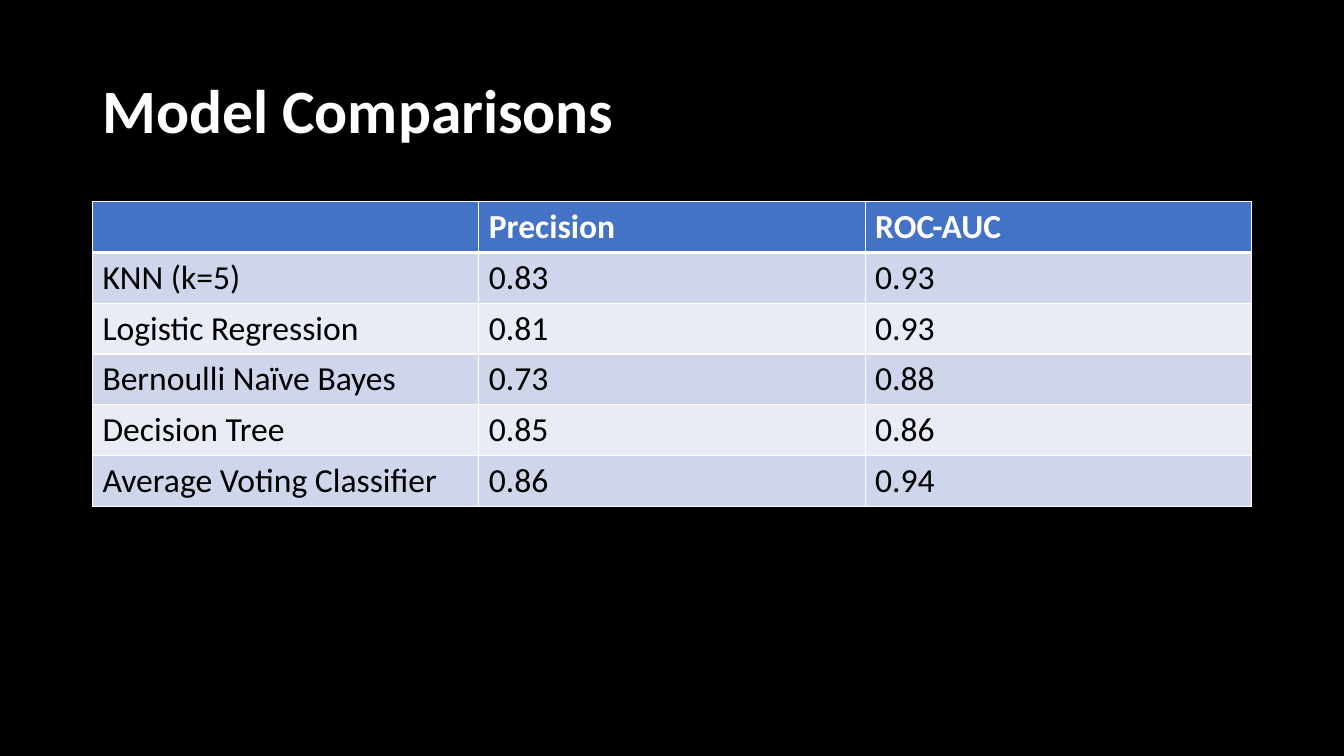
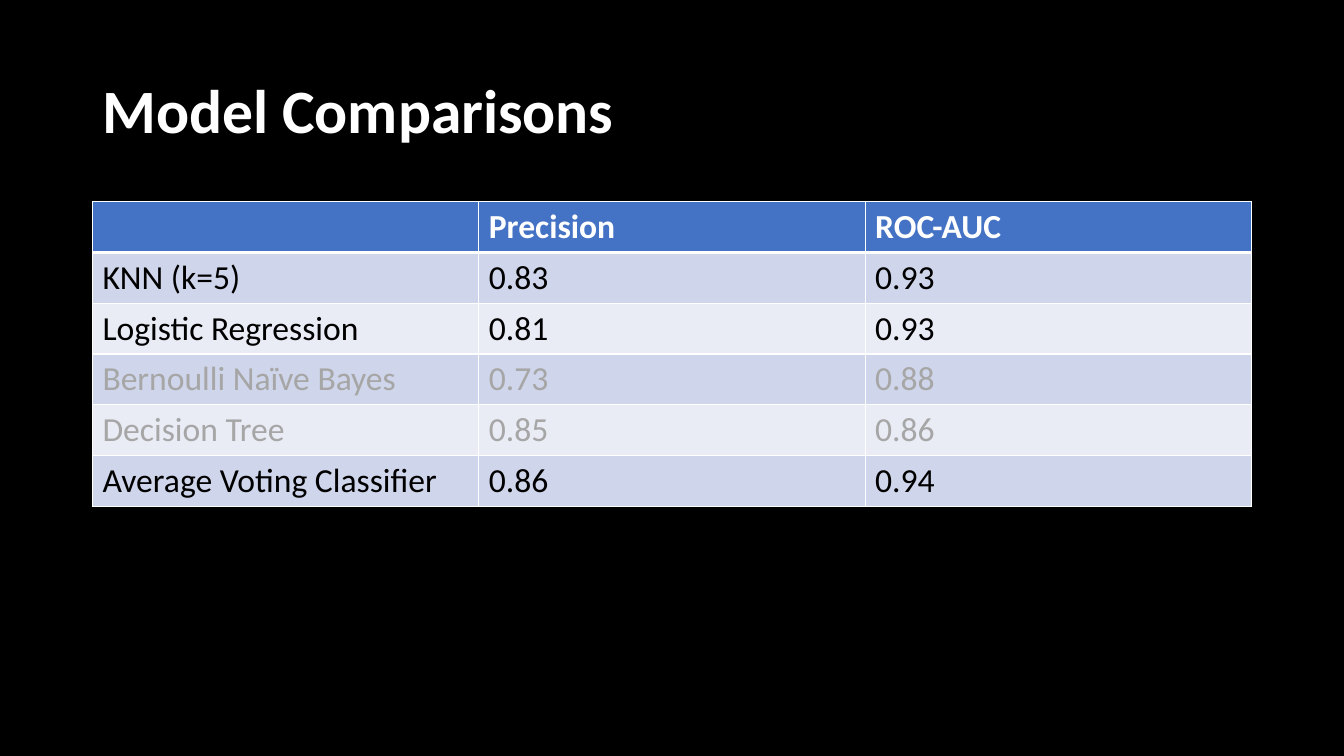
from lxml import etree
from pptx import Presentation
from pptx.dml.color import RGBColor
from pptx.enum import text
from pptx.oxml.ns import qn
from pptx.util import Cm, Pt

# Content
TITLE = "Model Comparisons"
HEADER = ("", "Precision", "ROC-AUC")
SCORES = [
    ("KNN (k=5)", "0.83", "0.93"),
    ("Logistic Regression", "0.81", "0.93"),
    ("Bernoulli Naïve Bayes", "0.73", "0.88"),
    ("Decision Tree", "0.85", "0.86"),
    ("Average Voting Classifier", "0.86", "0.94"),
]
# Models greyed out on each slide
FADED_MODELS = [(), ("Bernoulli Naïve Bayes", "Decision Tree")]

# Shared style
FONT = "Calibri"
BLACK = RGBColor(0x00, 0x00, 0x00)
WHITE = RGBColor(0xFF, 0xFF, 0xFF)
BLUE = RGBColor(0x44, 0x72, 0xC4)
BANDS = (RGBColor(0xCF, 0xD5, 0xEA), RGBColor(0xE9, 0xEB, 0xF5))
GREY = RGBColor(0xA6, 0xA6, 0xA6)

LEFT, WIDTH = Cm(2.33), Cm(29.21)
TITLE_TOP, TITLE_HEIGHT = Cm(1.01), Cm(3.68)
TABLE_TOP, ROW_HEIGHT = Cm(5.08), Cm(1.28)
THIN, THICK = Pt(1), Pt(3)


def style_run(run, size, color, bold):
    run.font.name = FONT
    run.font.size = Pt(size)
    run.font.color.rgb = color
    run.font.bold = bold


def add_title(slide):
    title = slide.shapes.add_textbox(LEFT, TITLE_TOP, WIDTH, TITLE_HEIGHT)
    frame = title.text_frame
    frame.word_wrap = True
    frame.vertical_anchor = text.MSO_ANCHOR.MIDDLE
    frame.text = TITLE
    frame.paragraphs[0].line_spacing = 0.9
    style_run(frame.paragraphs[0].runs[0], 44, WHITE, True)


def set_borders(cell, top, bottom):
    properties = cell._tc.get_or_add_tcPr()
    for side, weight in (("L", THIN), ("R", THIN), ("T", top), ("B", bottom)):
        line = etree.SubElement(properties, qn(f"a:ln{side}"), w=str(weight))
        fill = etree.SubElement(line, qn("a:solidFill"))
        etree.SubElement(fill, qn("a:srgbClr"), val=str(WHITE))


def style_cell(cell, wording, fill, color, bold, top, bottom):
    set_borders(cell, top, bottom)
    cell.fill.solid()
    cell.fill.fore_color.rgb = fill
    cell.text_frame.text = wording
    for run in cell.text_frame.paragraphs[0].runs:
        style_run(run, 24, color, bold)


def add_scores(slide, faded):
    rows = [HEADER] + SCORES
    table = slide.shapes.add_table(
        len(rows), len(HEADER), LEFT, TABLE_TOP, WIDTH, ROW_HEIGHT * len(rows)
    ).table
    for r, row in enumerate(rows):
        is_header = r == 0
        fill = BLUE if is_header else BANDS[(r - 1) % 2]
        color = WHITE if is_header else GREY if row[0] in faded else BLACK
        # The heavy rule lies between the header and the first model
        top = THICK if r == 1 else THIN
        bottom = THICK if is_header else THIN
        for c, wording in enumerate(row):
            style_cell(table.cell(r, c), wording, fill, color, is_header, top, bottom)


def main():
    prs = Presentation()
    prs.slide_width, prs.slide_height = Cm(33.87), Cm(19.05)
    background = prs.slide_master.background.fill
    background.solid()
    background.fore_color.rgb = BLACK
    for faded in FADED_MODELS:
        slide = prs.slides.add_slide(prs.slide_layouts[6])
        add_title(slide)
        add_scores(slide, faded)
    prs.save("out.pptx")


if __name__ == "__main__":
    main()
